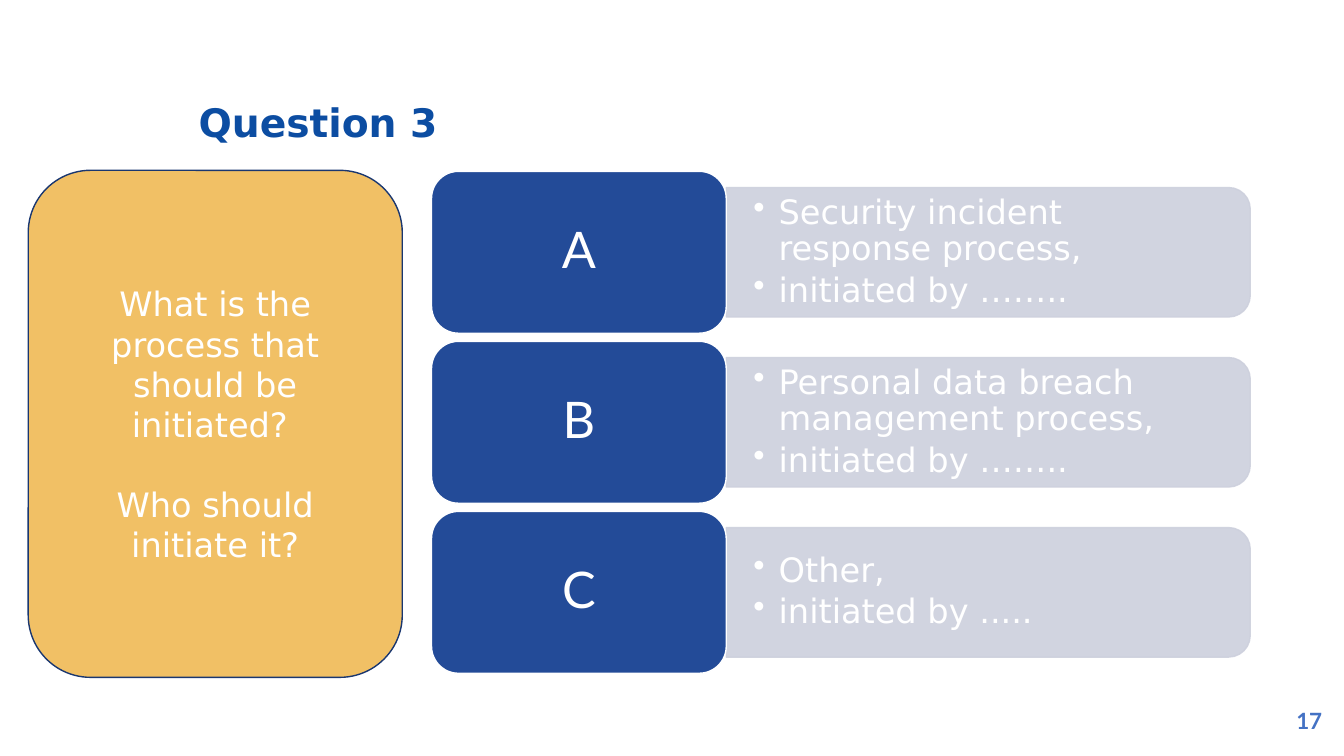
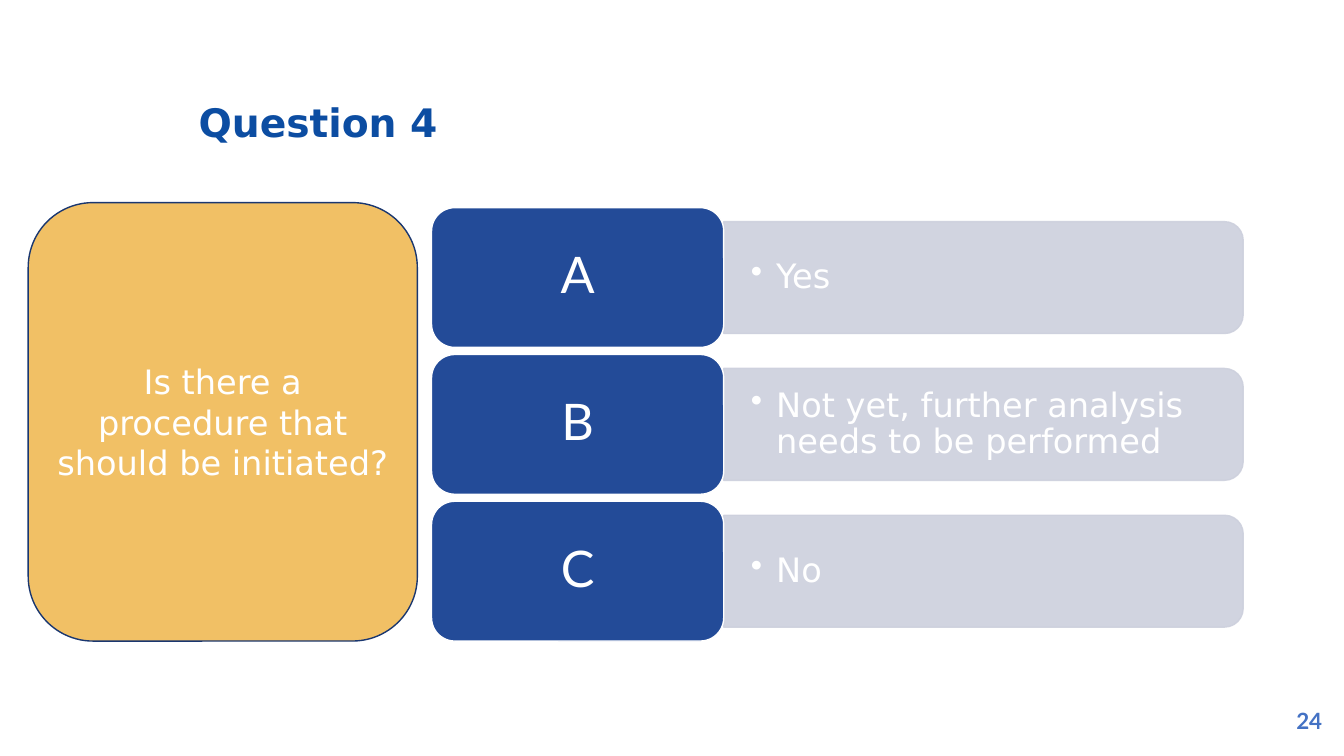
from lxml.etree import SubElement
from pptx import Presentation
from pptx.dml.color import RGBColor
from pptx.enum.shapes import MSO_SHAPE
from pptx.enum.text import MSO_ANCHOR, MSO_AUTO_SIZE, PP_ALIGN
from pptx.oxml.ns import qn
from pptx.util import Pt

PX = 9144
COLORS = {
    "title": "0C4DA2",
    "number": "4472C4",
    "answer": "CDD0DD",
    "label": "234B98",
    "question": "F1C065",
    "question_line": "1A3770",
    "white": "FFFFFF",
}
FONTS = {
    "title": {"name": "DejaVu Sans", "size": Pt(28), "bold": True},
    "number": {"name": "Lato", "size": Pt(16), "bold": True},
    "body": {"name": "DejaVu Sans", "size": Pt(24)},
    "letter": {"name": "Lato", "size": Pt(36)},
}
CENTER = {"alignment": PP_ALIGN.CENTER}
MIDDLE = {"word_wrap": True, "vertical_anchor": MSO_ANCHOR.MIDDLE}
ANSWER_INSETS = {
    "margin_left": 27 * PX,
    "margin_right": 27 * PX,
    "margin_top": 14 * PX,
    "margin_bottom": 14 * PX,
}
SLIDES = [
    {
        "title": "Question 3",
        "number": "17",
        "question": ["What is the process that should be initiated? ",
                     "Who should initiate it?"],
        "question_box": (28, 169, 371, 503),
        "answers_box": (428, 170, 812, 498),
        "answers": {
            "A": ["Security incident response process,", "initiated by …….."],
            "B": ["Personal data breach management process,",
                  "initiated by …….."],
            "C": ["Other,", "initiated by ....."],
        },
    },
    {
        "title": "Question 4",
        "number": "24",
        "question": ["Is there a procedure that should be initiated?"],
        "question_box": (28, 201, 386, 435),
        "answers_box": (428, 206, 805, 430),
        "answers": {
            "A": ["Yes"],
            "B": ["Not yet, further analysis needs to be performed"],
            "C": ["No"],
        },
    },
]


def rgb(key):
    return RGBColor.from_string(COLORS[key])


def emu(*box):
    return [round(v * PX) for v in box]


def apply(obj, values):
    for name, value in values.items():
        setattr(obj, name, value)


def add_bullet(p):
    pPr = p._p.get_or_add_pPr()
    pPr.set("marL", str(25 * PX))
    pPr.set("indent", str(-25 * PX))
    SubElement(pPr, qn("a:buChar")).set("char", "•")


def write(tf, lines, font, color, para, gap=0, bullets=False):
    for i, line in enumerate(lines):
        p = tf.add_paragraph() if i else tf.paragraphs[0]
        if bullets:
            add_bullet(p)
        apply(p, para)
        if i and gap:
            p.space_before = Pt(gap)
        r = p.add_run()
        r.text = line
        apply(r.font, FONTS[font])
        r.font.color.rgb = rgb(color)


def add_box(slide, kind, box, fill, line):
    sp = slide.shapes.add_shape(kind, *emu(*box))
    sp.shadow.inherit = False
    sp.fill.solid()
    sp.fill.fore_color.rgb = rgb(fill)
    sp.line.color.rgb = rgb(line)
    sp.line.width = Pt(1)
    apply(sp.text_frame, MIDDLE)
    return sp


def add_text(slide, box):
    tf = slide.shapes.add_textbox(*emu(*box)).text_frame
    apply(tf, MIDDLE)
    return tf


def add_title(slide, text):
    title = slide.shapes.title
    apply(title, dict(zip(("left", "top", "width", "height"),
                          emu(187, 88, 952, 71))))
    apply(title.text_frame, {"word_wrap": True,
                             "auto_size": MSO_AUTO_SIZE.NONE,
                             "vertical_anchor": MSO_ANCHOR.TOP})
    write(title.text_frame, [text], "title", "title",
          {"alignment": PP_ALIGN.LEFT, "line_spacing": Pt(36.6)})


def add_number(slide, text):
    tf = add_text(slide, (1274, 695, 49, 40))
    write(tf, [text], "number", "number", CENTER)


def add_question(slide, box, lines):
    sp = add_box(slide, MSO_SHAPE.ROUNDED_RECTANGLE, box,
                 "question", "question_line")
    write(sp.text_frame, lines, "body", "white", CENTER, gap=28)


def add_answer(slide, box, letter, lines):
    x, y, w, h = box
    label_w, bar_h = 0.36 * w, 0.8 * h
    bar_x, bar_w = x + label_w, w - label_w
    bar = add_box(slide, MSO_SHAPE.ROUND_2_SAME_RECTANGLE,
                  (bar_x + (bar_w - bar_h) / 2, y + (h - bar_w) / 2,
                   bar_h, bar_w), "answer", "answer")
    bar.rotation = 90
    for clr in bar._element.spPr.iter(qn("a:srgbClr")):
        SubElement(clr, qn("a:alpha")).set("val", "90000")

    text_h = 0.9 * bar_h
    tf = add_text(slide, (bar_x, y + (h - text_h) / 2, bar_w - 7, text_h))
    apply(tf, ANSWER_INSETS)
    write(tf, lines, "body", "white", {"line_spacing": 0.9},
          gap=3.6, bullets=True)

    label = add_box(slide, MSO_SHAPE.ROUNDED_RECTANGLE,
                    (x, y, label_w, h), "label", "white")
    write(label.text_frame, [letter], "letter", "white",
          {"line_spacing": 0.9, **CENTER})


def add_answers(slide, box, answers):
    x, y, w, h = box
    n = len(answers)
    row_h = h / (n + 0.05 * (n - 1))
    for i, (letter, lines) in enumerate(answers.items()):
        add_answer(slide, (x, y + i * 1.05 * row_h, w, row_h), letter, lines)


def add_question_slide(prs, data):
    slide = prs.slides.add_slide(prs.slide_layouts[5])
    add_title(slide, data["title"])
    add_number(slide, data["number"])
    add_answers(slide, data["answers_box"], data["answers"])
    add_question(slide, data["question_box"], data["question"])


def main():
    prs = Presentation()
    prs.slide_width, prs.slide_height = emu(1333, 750)
    for data in SLIDES:
        add_question_slide(prs, data)
    prs.save("out.pptx")


if __name__ == "__main__":
    main()
